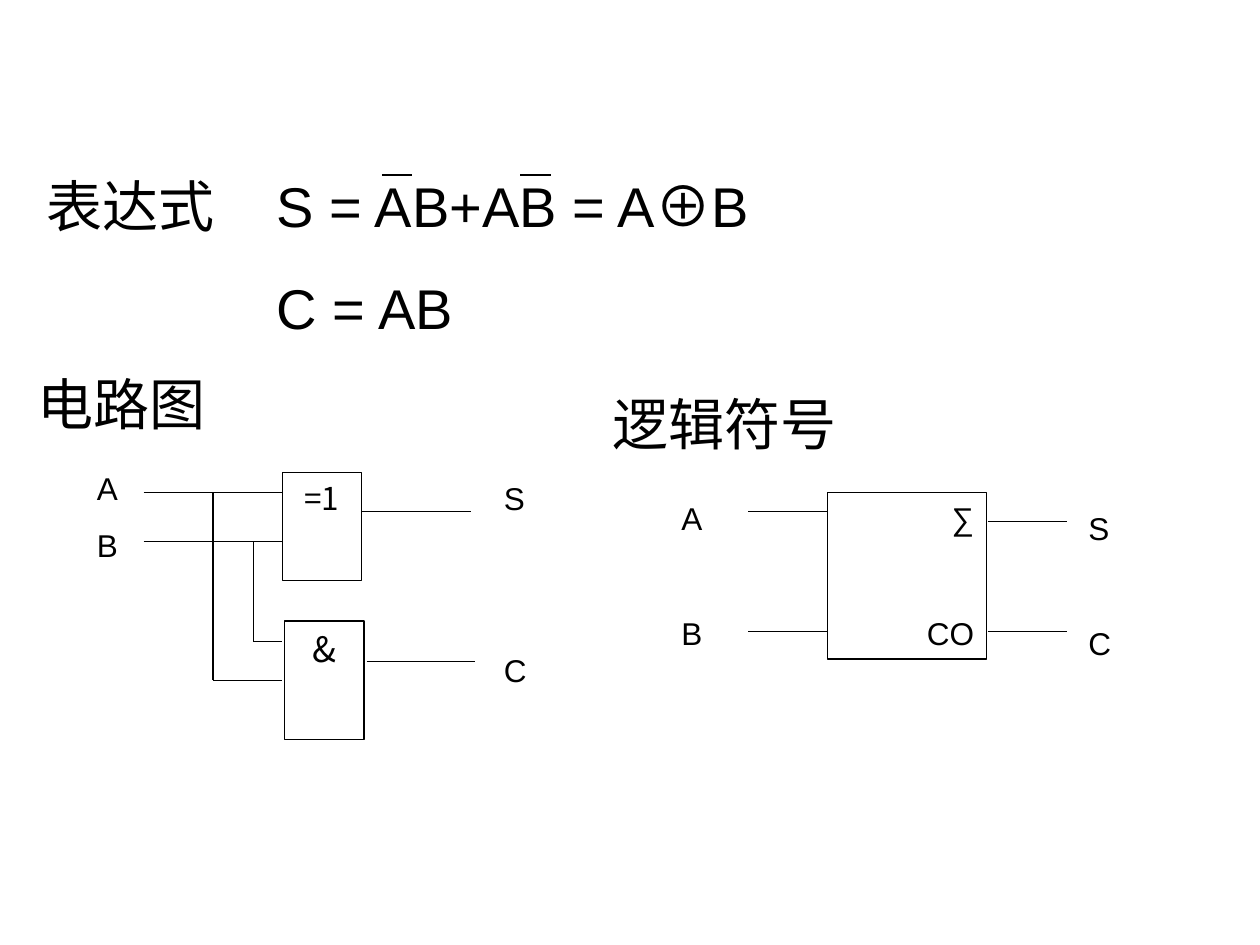
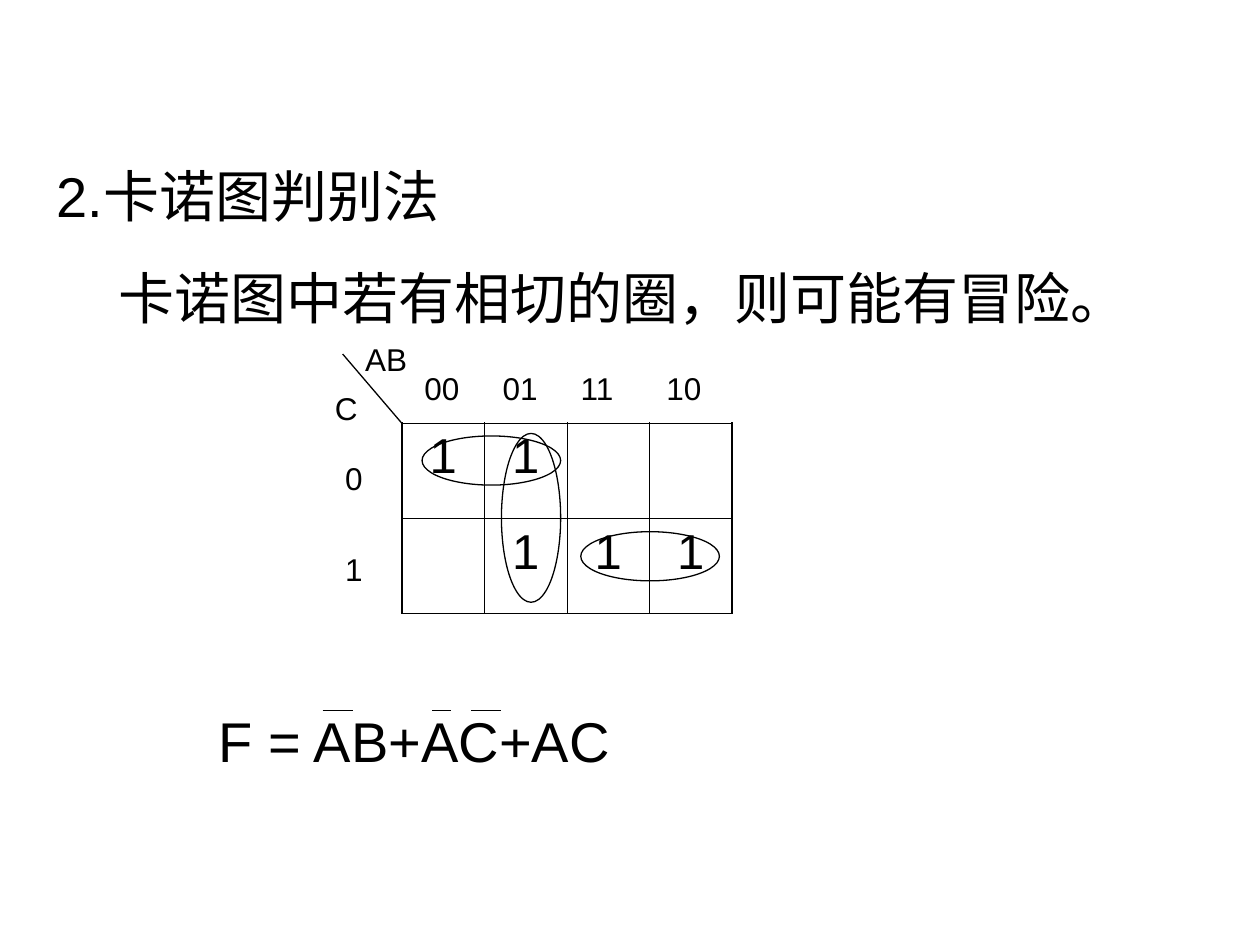
from dataclasses import dataclass

from lxml.etree import SubElement
from pptx import Presentation
from pptx.dml.color import RGBColor
from pptx.enum.shapes import MSO_CONNECTOR, MSO_SHAPE
from pptx.enum.text import MSO_ANCHOR, PP_ALIGN
from pptx.oxml import parse_xml
from pptx.oxml.ns import nsdecls, qn
from pptx.util import Inches, Pt


@dataclass(frozen=True)
class Theme:
    ink: RGBColor = RGBColor(0, 0, 0)
    latin: str = "Arial"
    symbol: str = "Noto Sans CJK SC"
    heading: int = 32
    cell: int = 28
    gate: int = 20
    label: int = 18
    heading_gap: float = 20
    label_gap: float = 11.2
    leading: float = 1.2
    wire: float = 0.75
    frame: float = 1.08
    rule: float = 0.45


THEME = Theme()
COLUMNS = 100
SLIDE_WIDTH = Inches(10)
SLIDE_HEIGHT = Inches(7.5)


def grid(*lengths):
    return [round(length * SLIDE_WIDTH / COLUMNS) for length in lengths]


def add_span(para, text, size, font):
    span = para.add_run()
    span.text = text
    span.font.size = Pt(size)
    span.font.name = font
    span.font.color.rgb = THEME.ink
    SubElement(span.font._element, qn("a:ea"), typeface=font)


def write(frame, lines, size=THEME.label, font=THEME.latin, align=PP_ALIGN.LEFT,
          gap=0, indents=(), tabs=()):
    frame.word_wrap = True
    frame.vertical_anchor = MSO_ANCHOR.TOP
    for index, line in enumerate(lines):
        para = frame.add_paragraph() if index else frame.paragraphs[0]
        para.alignment = align
        para.line_spacing = Pt(size * THEME.leading)
        para.space_before = Pt(gap if index else 0)
        properties = para._p.get_or_add_pPr()
        if indents:
            properties.set("marL", str(grid(indents[index])[0]))
        if tabs:
            stops = SubElement(properties, qn("a:tabLst"))
            for stop in grid(*tabs):
                SubElement(stops, qn("a:tab"), pos=str(stop), algn="l")
        for span in [line] if isinstance(line, str) else line:
            text, face = (span, font) if isinstance(span, str) else span
            add_span(para, text, size, face)


def add_text(page, place, *lines, **style):
    box = page.shapes.add_textbox(*grid(*place))
    write(box.text_frame, lines, **style)


def row_gap(skipped, gap=THEME.label_gap):
    return gap * (skipped + 1) + THEME.label * THEME.leading * skipped


def add_outline(page, kind, place, *lines, **style):
    shape = page.shapes.add_shape(kind, *grid(*place))
    shape.shadow.inherit = False
    shape.fill.background()
    shape.line.color.rgb = THEME.ink
    shape.line.width = Pt(THEME.wire)
    if lines:
        write(shape.text_frame, lines, **style)


def add_wire(page, *ends):
    wire = page.shapes.add_connector(MSO_CONNECTOR.STRAIGHT, *grid(*ends))
    wire.line.color.rgb = THEME.ink
    wire.line.width = Pt(THEME.wire)
    SubElement(wire._element.spPr, qn("a:effectLst"))


def add_overlines(page, row, *bars):
    for start, end in bars:
        add_wire(page, start, row, end, row)


def set_borders(cell, **widths):
    properties = cell._tc.get_or_add_tcPr()
    for index, (side, width) in enumerate(widths.items()):
        properties.insert(index, parse_xml(
            f'<a:ln{side} {nsdecls("a")} w="{Pt(width)}"><a:solidFill>'
            f'<a:srgbClr val="{THEME.ink}"/></a:solidFill></a:ln{side}>'))


def add_karnaugh_map(page, place, values):
    rows, columns = len(values), len(values[0])
    graphic = page.shapes.add_table(rows, columns, *grid(*place))
    table = graphic.table
    table.first_row = table.horz_banding = False
    for row, marks in enumerate(values):
        for column, mark in enumerate(marks):
            cell = table.cell(row, column)
            cell.fill.background()
            edges = {"L": column == 0, "R": column == columns - 1,
                     "T": row == 0, "B": row == rows - 1}
            set_borders(cell, **{side: THEME.frame if outer else THEME.rule
                                 for side, outer in edges.items()})
            if mark:
                para = cell.text_frame.paragraphs[0]
                para.alignment = PP_ALIGN.CENTER
                add_span(para, mark, THEME.cell, THEME.latin)


def draw_circuit(page):
    add_text(page, (2, 28.8, 18.9, 6.4), "电路图", size=THEME.heading)
    gate = {"font": THEME.symbol, "align": PP_ALIGN.CENTER}
    add_outline(page, MSO_SHAPE.RECTANGLE, (22.6, 49.3, 6.3, 9.4), "&",
                size=THEME.gate, **gate)
    add_outline(page, MSO_SHAPE.RECTANGLE, (22.4, 37.5, 6.3, 8.6), "=1", **gate)
    source, gate_left = 11.4, 22.4
    for row, branch, target in ((39.1, 16.9, 54), (43, 20.1, 50.9)):
        add_wire(page, source, row, gate_left, row)
        add_wire(page, branch, row, branch, target)
        add_wire(page, branch, target, gate_left, target)
    add_wire(page, 28.7, 40.6, 37.4, 40.6)
    add_wire(page, 29.1, 52.5, 37.7, 52.5)
    add_text(page, (6.7, 36.7, 5.5, 8.6), "A", "B", gap=row_gap(0))
    add_text(page, (39, 37.5, 5.5, 17.7), "S", "C", gap=row_gap(2))


def draw_logic_symbol(page):
    add_text(page, (47.6, 30.4, 35.4, 6.4), "逻辑符号", size=THEME.heading)
    add_outline(page, MSO_SHAPE.RECTANGLE, (65.7, 39.1, 12.6, 13.2), "∑", "CO",
                align=PP_ALIGN.RIGHT, gap=row_gap(1))
    for left, row in ((59.4, 40.6), (59.4, 50.1), (78.4, 41.4), (78.4, 50.1)):
        add_wire(page, left, row, left + 6.3, row)
    add_text(page, (85.4, 39.9, 5.5, 13.2), "S", "C", gap=row_gap(1))
    add_text(page, (53.1, 39.1, 5.5, 13.2), "A", "B", gap=row_gap(1))


def build_half_adder(page):
    sum_line = ("表达式\tS = AB+AB = A", ("⊕", THEME.symbol), "B")
    add_text(page, (2.7, 13.1, 91.3, 14.5), sum_line, "C = AB",
             size=THEME.heading, gap=THEME.heading_gap,
             indents=(0, 18.3), tabs=(18.3,))
    add_overlines(page, 13.9, (30.3, 32.7), (41.3, 43.7))
    draw_circuit(page)
    draw_logic_symbol(page)


def build_karnaugh(page):
    add_text(page, (3.5, 12.3, 91.3, 14.5), "2.卡诺图判别法",
             "卡诺图中若有相切的圈，则可能有冒险。",
             size=THEME.heading, gap=THEME.heading_gap, indents=(0, 4.9))
    add_karnaugh_map(page, (31.9, 33.6, 26.2, 15.1),
                     (("1", "1", "", ""), ("", "1", "1", "1")))
    add_wire(page, 27.2, 28.1, 31.9, 33.6)
    add_text(page, (32.7, 28.8, 26.8, 4), "00\t01\t11\t10", tabs=(6.2, 12.4, 19.2))
    add_text(page, (28, 26.5, 7.9, 4), "AB")
    add_text(page, (25.6, 30.4, 7.9, 4), "C")
    add_text(page, (26.4, 35.9, 3.5, 11.3), "0", "1", gap=row_gap(1, gap=4.5))
    for loop in ((33.5, 34.6, 11, 3.9), (46.1, 42.2, 11, 3.9), (39.8, 34.4, 4.7, 13.4)):
        add_outline(page, MSO_SHAPE.OVAL, loop)
    add_text(page, (5.3, 55.6, 91.3, 6.4), "F = AB+AC+AC",
             size=THEME.heading, indents=(11.1,))
    add_overlines(page, 56.4, (25.6, 28), (34.3, 35.8), (37.4, 39.8))


def main():
    deck = Presentation()
    deck.slide_width, deck.slide_height = SLIDE_WIDTH, SLIDE_HEIGHT
    for build in (build_half_adder, build_karnaugh):
        build(deck.slides.add_slide(deck.slide_layouts[6]))
    deck.save("out.pptx")


if __name__ == "__main__":
    main()
